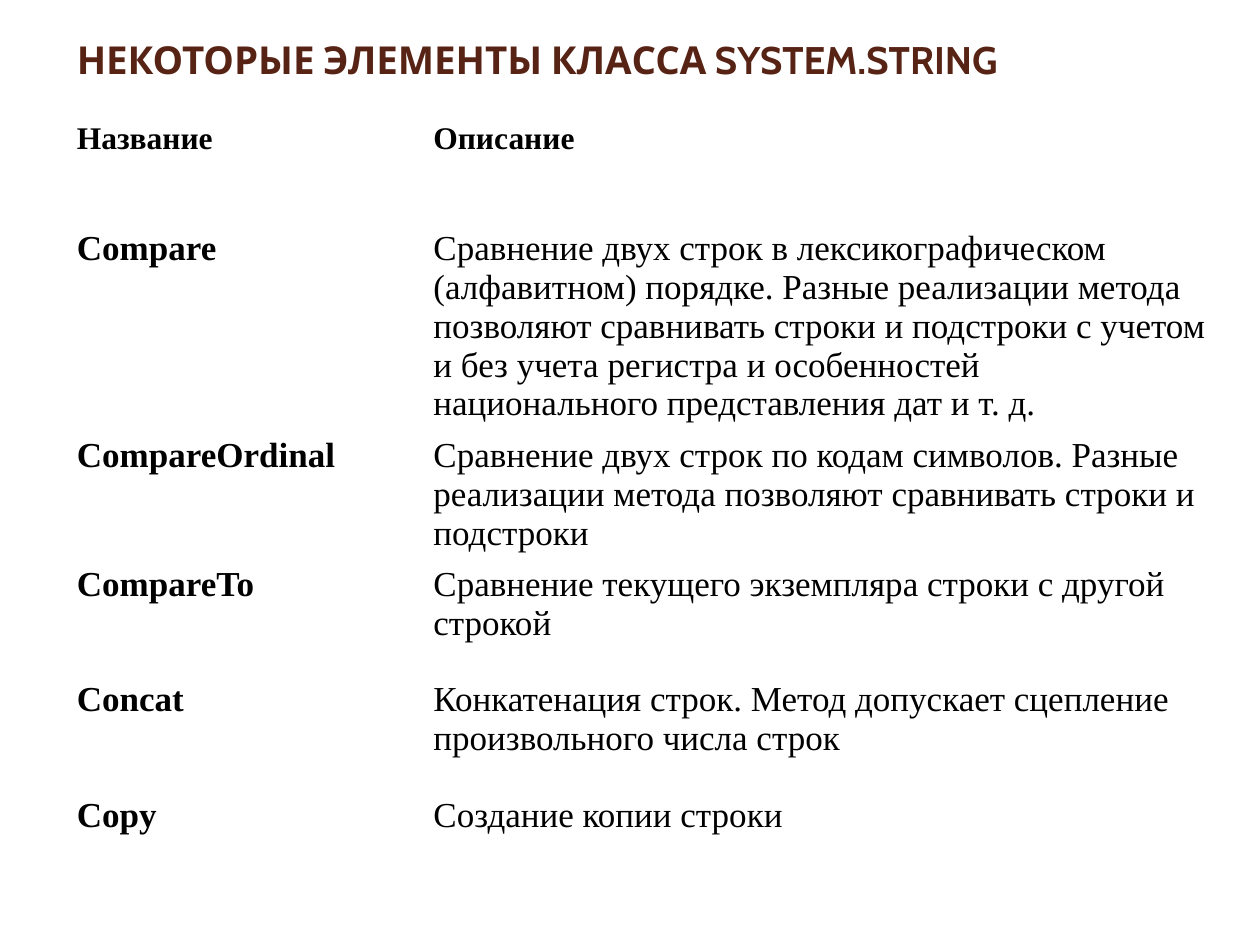
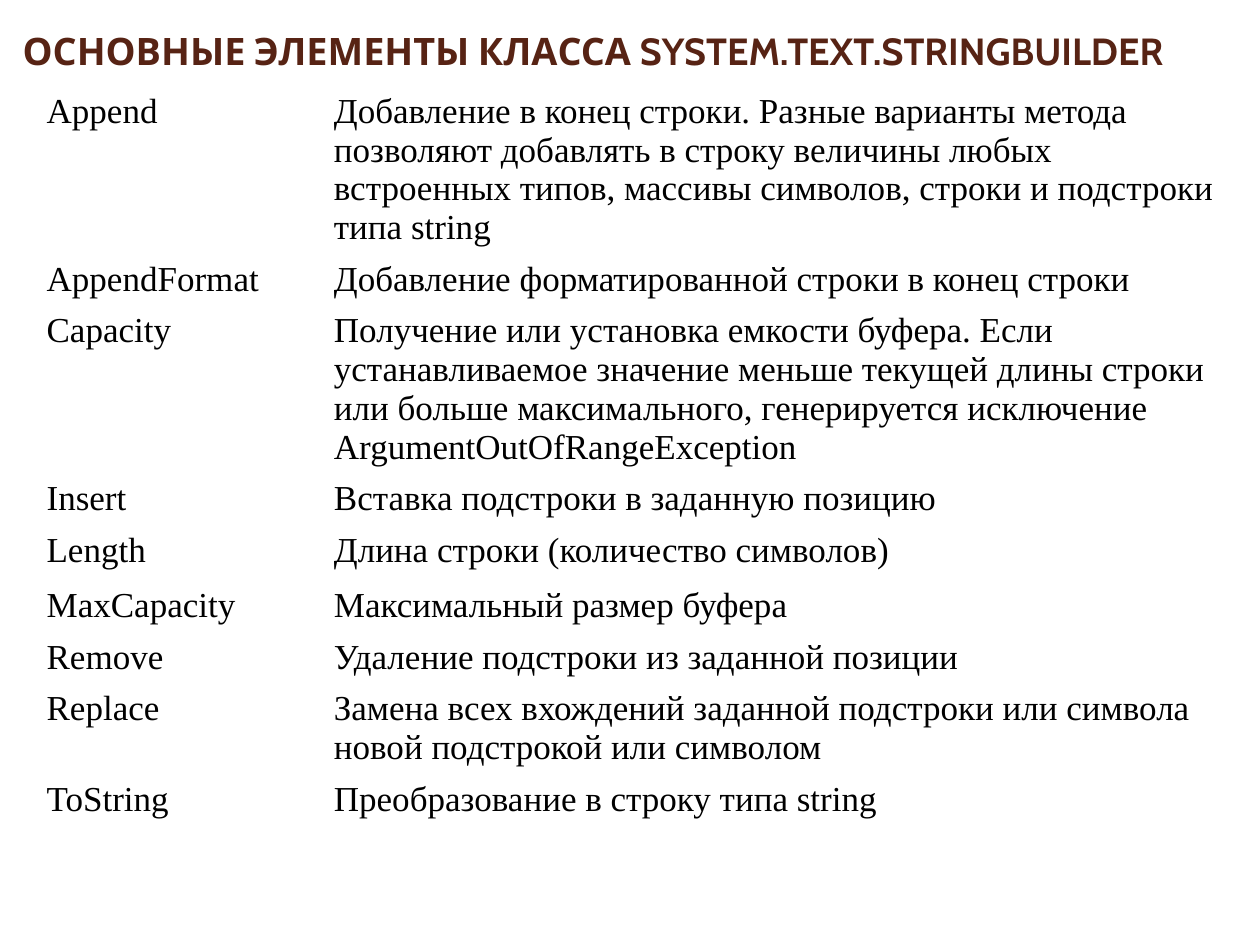
from pptx import Presentation
from pptx.dml.color import RGBColor
from pptx.enum.text import MSO_ANCHOR, MSO_AUTO_SIZE, PP_ALIGN
from pptx.util import Inches, Pt

BROWN, BLACK = "572314", "000000"
HEAD, BODY = "Cabin", "Times New Roman"
HANG = 0.38

STRING = [
    ("Название", "Описание"),
    ("Compare", "Сравнение двух строк в лексикографическом (алфавитном) порядке. "
     "Разные реализации метода позволяют сравнивать строки и подстроки с учетом и без "
     "учета регистра и особенностей национального представления дат и т. д."),
    ("CompareOrdinal", "Сравнение двух строк по кодам символов. "
     "Разные реализации метода позволяют сравнивать строки и подстроки"),
    ("CompareTo", "Сравнение текущего экземпляра строки с другой строкой"),
    ("Concat", "Конкатенация строк. Метод допускает сцепление произвольного числа строк"),
    ("Copy", "Создание копии строки"),
]
BUILDER = [
    ("Append", "Добавление в конец строки. Разные варианты метода позволяют добавлять "
     "в строку величины любых встроенных типов, массивы символов, строки и подстроки "
     "типа string"),
    ("AppendFormat", "Добавление форматированной строки в конец строки"),
    ("Capacity", "Получение или установка емкости буфера. Если устанавливаемое значение "
     "меньше текущей длины строки или больше максимального, генерируется исключение "
     "ArgumentOutOfRangeException"),
    ("Insert", "Вставка подстроки в заданную позицию"),
    ("Length", "Длина строки (количество символов)"),
    ("MaxCapacity", "Максимальный размер буфера"),
    ("Remove", "Удаление подстроки из заданной позиции"),
    ("Replace", "Замена всех вхождений заданной подстроки или символа "
     "новой подстрокой или символом"),
    ("ToString", "Преобразование в строку типа string"),
]


def color(code):
    return RGBColor.from_string(code)


def write(frame, text, size=20, font=BODY, tint=BLACK, bold=False, lead=None, hang=0):
    para = frame.paragraphs[0]
    para.alignment = PP_ALIGN.LEFT
    if lead:
        para.line_spacing = Pt(lead)
    if hang:
        props = para._p.get_or_add_pPr()
        props.set("marL", str(Inches(hang)))
        props.set("indent", str(-Inches(hang)))
    run = para.add_run()
    run.text = text
    run.font.size, run.font.name, run.font.bold = Pt(size), font, bold
    run.font.color.rgb = color(tint)


class Deck:
    def __init__(self):
        self.prs = Presentation()
        self.prs.slide_width, self.prs.slide_height = Inches(10), Inches(7.5)
        self.slide = None

    def page(self):
        self.slide = self.prs.slides.add_slide(self.prs.slide_layouts[5])
        fill = self.slide.background.fill
        fill.solid()
        fill.fore_color.rgb = color("FFFFFF")

    def title(self, text, box, size):
        shape = self.slide.shapes.title
        shape.left, shape.top, shape.width, shape.height = map(Inches, box)
        frame = shape.text_frame
        frame.word_wrap = True
        frame.auto_size = MSO_AUTO_SIZE.NONE
        frame.vertical_anchor = MSO_ANCHOR.BOTTOM
        write(frame, text, size=size, font=HEAD, tint=BROWN, bold=True, lead=20)

    def table(self, data, left, top, cols, rows, head=False):
        """Names on the left, meanings on the right; head marks a bold layout."""
        grid = self.slide.shapes.add_table(
            len(data), len(cols), Inches(left), Inches(top),
            Inches(sum(cols)), Inches(sum(rows))).table
        grid.first_row = grid.horz_banding = False
        for col, width in zip(grid.columns, cols):
            col.width = Inches(width)
        for row, high in zip(grid.rows, rows):
            row.height = Inches(high)
        for i, pair in enumerate(data):
            top_row = head and i == 0
            for j, text in enumerate(pair):
                cell = grid.cell(i, j)
                cell.fill.background()
                write(cell.text_frame, text, size=18 if top_row else 20,
                      bold=top_row or (head and j == 0), hang=0 if j else HANG)


def main():
    deck = Deck()

    # Members of System.String
    deck.page()
    deck.title("НЕКОТОРЫЕ ЭЛЕМЕНТЫ КЛАССА SYSTEM.STRING", (0.51, 0.13, 9.37, 0.57), 22)
    deck.table(STRING, 0.51, 0.91, (2.83, 6.38),
               (0.86, 1.46, 0.92, 0.91, 0.92, 0.91), head=True)

    # Members of System.Text.StringBuilder
    deck.page()
    deck.title("ОСНОВНЫЕ ЭЛЕМЕНТЫ КЛАССА SYSTEM.TEXT.STRINGBUILDER",
               (0.08, 0.13, 9.92, 0.5), 21.6)
    deck.table(BUILDER, 0.27, 0.68, (2.28, 7.2),
               (1.26, 0.38, 0.91, 0.33, 0.44, 0.31, 0.28, 0.47, 0.57))

    deck.prs.save("out.pptx")


if __name__ == "__main__":
    main()
